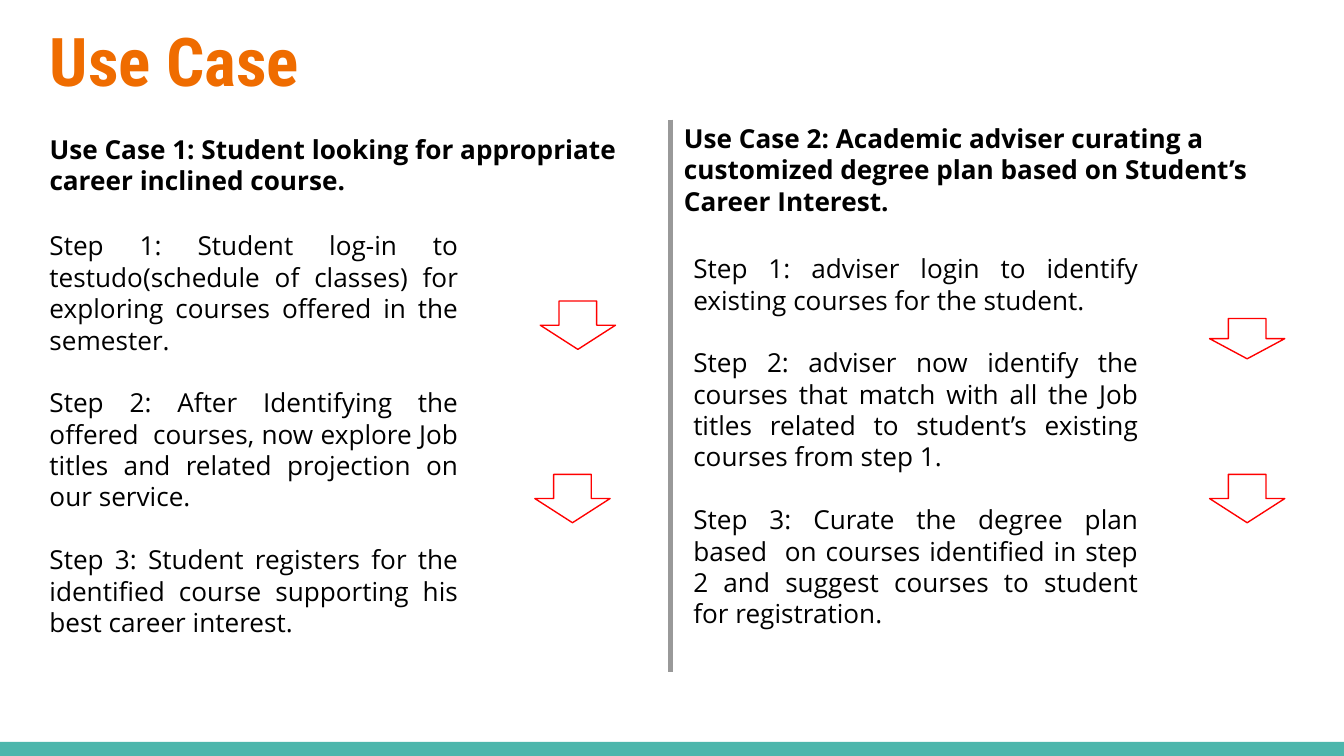
from lxml import etree
from pptx import Presentation
from pptx.dml.color import RGBColor
from pptx.enum.shapes import MSO_CONNECTOR, MSO_SHAPE
from pptx.enum.text import MSO_ANCHOR, PP_ALIGN
from pptx.oxml.ns import qn
from pptx.util import Inches, Pt

COLORS = {
    "title": "EF6C00",
    "text": "000000",
    "bar": "4DB6AC",
    "divider": "999999",
    "arrow": "FF0000",
    "white": "FFFFFF",
}


def rgb(name):
    return RGBColor.from_string(COLORS[name])


def write_text(frame, paragraphs, size=14, font="Open Sans", color="text",
               bold=False, align=PP_ALIGN.LEFT, gap=0):
    """Fill a text frame; gap is the space between paragraphs in points."""
    frame.word_wrap = True
    frame.vertical_anchor = MSO_ANCHOR.TOP
    frame.margin_left = frame.margin_right = Inches(0.1)
    frame.margin_top = frame.margin_bottom = Inches(0.1)
    for index, text in enumerate(paragraphs):
        paragraph = frame.paragraphs[0] if index == 0 else frame.add_paragraph()
        paragraph.alignment = align
        paragraph.space_before = Pt(gap if index else 0)
        run = paragraph.add_run()
        run.text = text
        run.font.size = Pt(size)
        run.font.name = font
        run.font.bold = bold
        run.font.color.rgb = rgb(color)


class SlideBuilder:
    def __init__(self, slide):
        self.slide = slide

    def title(self, text, *box):
        title = self.slide.shapes.title
        title.left, title.top, title.width, title.height = map(Inches, box)
        write_text(title.text_frame, [text], size=36, font="Roboto Condensed",
                   color="title", bold=True)

    def text(self, paragraphs, *box, **style):
        textbox = self.slide.shapes.add_textbox(*map(Inches, box))
        write_text(textbox.text_frame, paragraphs, **style)

    def shape(self, kind, *box, fill, line=None):
        shape = self.slide.shapes.add_shape(kind, *map(Inches, box))
        shape.shadow.inherit = False
        shape.fill.solid()
        shape.fill.fore_color.rgb = rgb(fill)
        if line:
            shape.line.color.rgb = rgb(line)
            shape.line.width = Pt(0.75)
        else:
            shape.line.fill.background()

    def divider(self, x, top, bottom):
        line = self.slide.shapes.add_connector(
            MSO_CONNECTOR.STRAIGHT, *map(Inches, (x, top, x, bottom)))
        line.line.color.rgb = rgb("divider")
        line.line.width = Pt(3)
        etree.SubElement(line._element.spPr, qn("a:effectLst"))


# Each use case: heading and its box, steps and their box
USE_CASES = [
    ("Use Case 1: Student looking for appropriate career inclined course.",
     (0.27, 0.89, 4.42, 0.59),
     ["Step 1: Student log-in to testudo(schedule of classes) for exploring "
      "courses offered in the semester.",
      "Step 2: After Identifying the offered  courses, now explore Job titles "
      "and related projection on our service.",
      "Step 3: Student registers for the identified course supporting his "
      "best career interest."],
     (0.27, 1.61, 3.24, 3.3)),
    ("Use Case 2: Academic adviser curating a customized degree plan based on "
     "Student’s Career Interest.",
     (4.99, 0.81, 4.61, 0.59),
     ["Step 1: adviser login to identify existing courses for the student.",
      "Step 2: adviser now identify the courses that match with all the Job "
      "titles related to student’s existing courses from step 1.",
      "Step 3: Curate the degree plan based  on courses identified in step 2 "
      "and suggest courses to student for registration."],
     (5.06, 1.78, 3.51, 3.3)),
]

# Left, top and height of the arrows between steps
STEP_ARROWS = [(4.02, 2.24, 0.36), (3.98, 3.53, 0.36),
               (9, 2.37, 0.3), (9, 3.53, 0.36)]


def main():
    prs = Presentation()
    # 16:9 page
    prs.slide_width = Inches(10)
    prs.slide_height = prs.slide_width * 9 // 16
    builder = SlideBuilder(prs.slides.add_slide(prs.slide_layouts[5]))

    # Title, bottom bar and column divider
    builder.title("Use Case", 0.27, 0.04, 9.32, 0.77)
    builder.shape(MSO_SHAPE.RECTANGLE, 0, 5.52, 10, 0.11, fill="bar")
    builder.divider(4.99, 0.89, 5)

    # Use case columns
    for heading, heading_box, steps, steps_box in USE_CASES:
        builder.text([heading], *heading_box, bold=True)
        builder.text(steps, *steps_box, align=PP_ALIGN.JUSTIFY, gap=16.8)

    # Arrows between steps
    for left, top, height in STEP_ARROWS:
        builder.shape(MSO_SHAPE.DOWN_ARROW, left, top, 0.56, height,
                      fill="white", line="arrow")

    prs.save("out.pptx")


if __name__ == "__main__":
    main()
